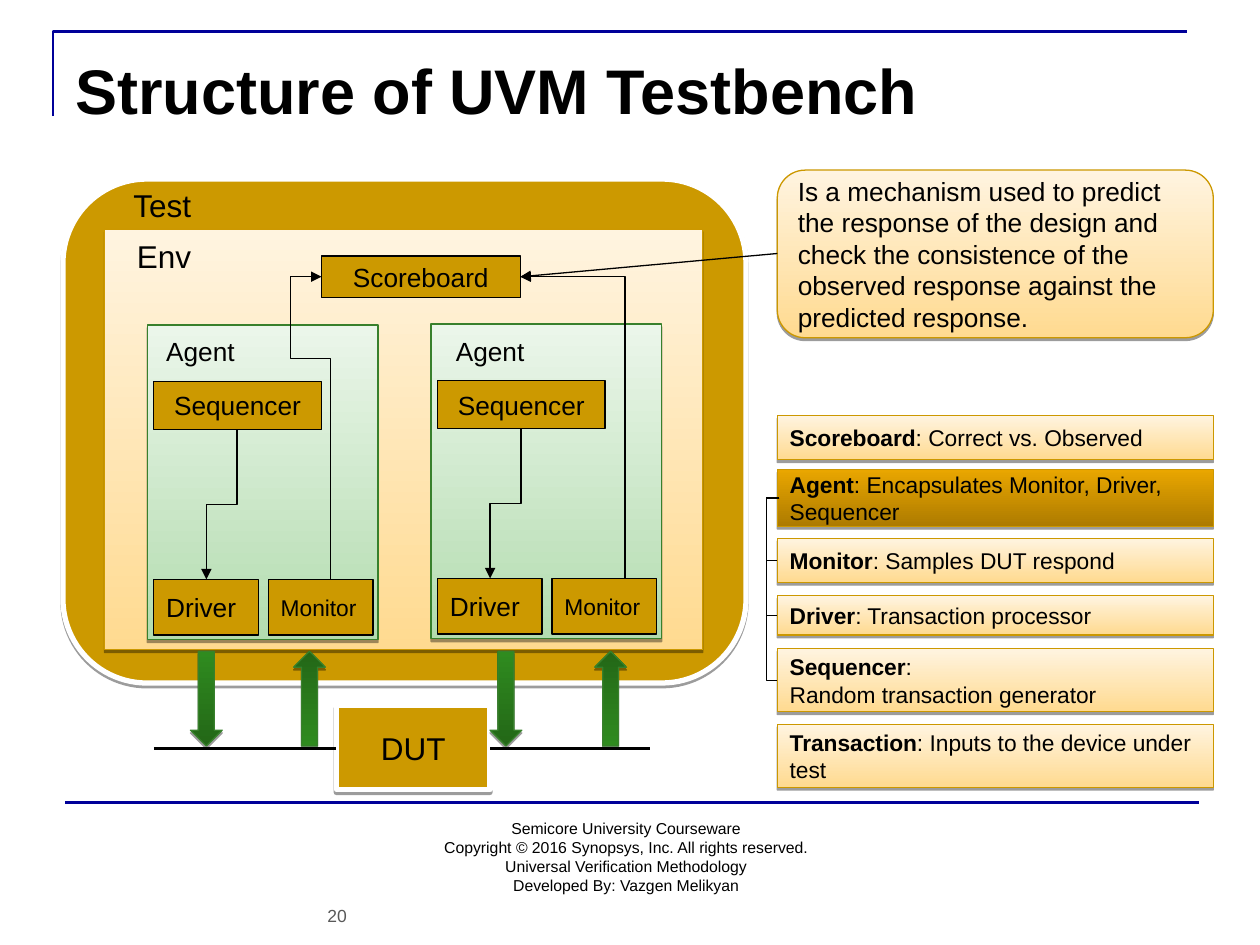
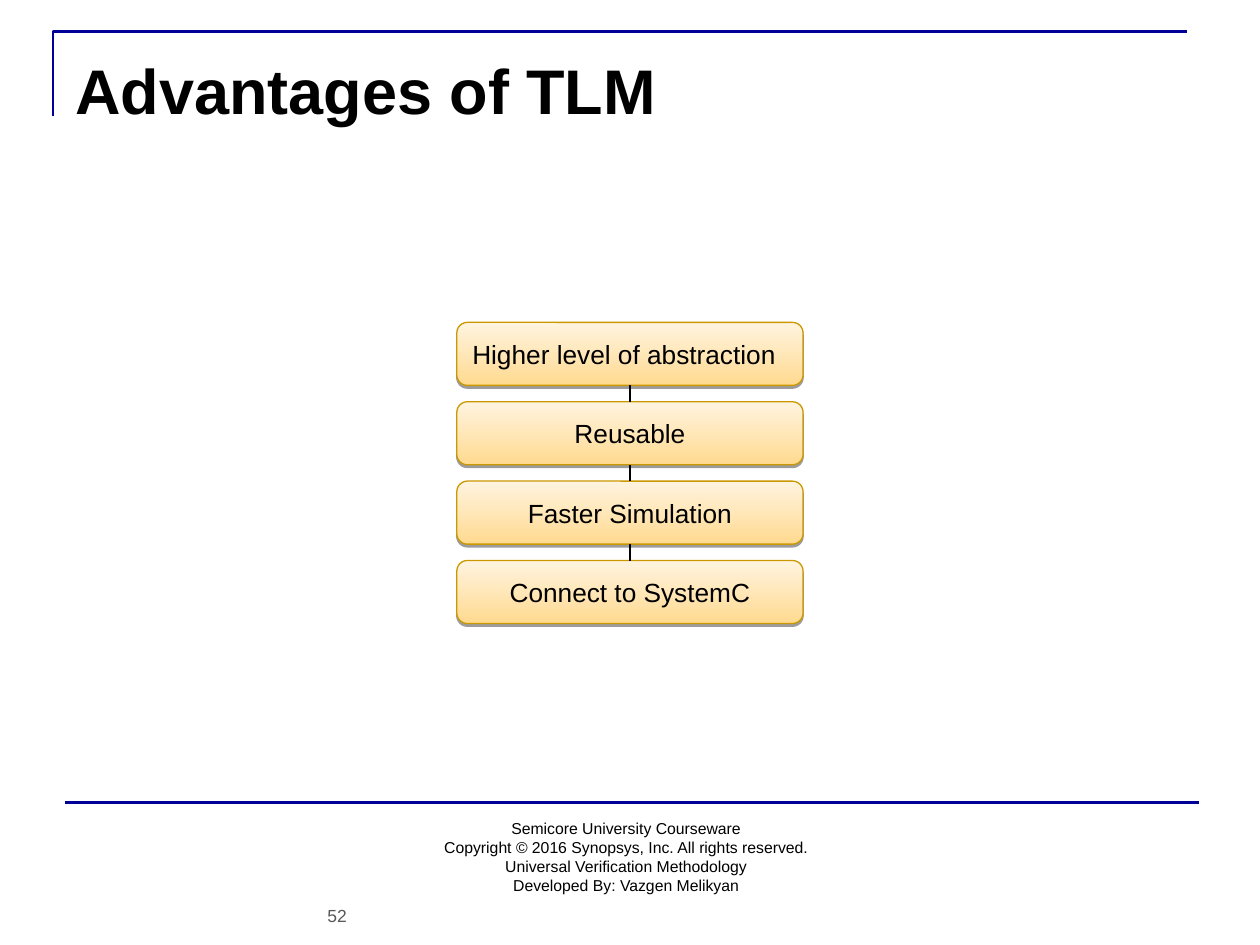
import lxml.etree
import pptx
import pptx.dml.color
import pptx.enum.shapes
import pptx.enum.text
import pptx.oxml.ns
import pptx.util

Cm = pptx.util.Cm
Pt = pptx.util.Pt
MSO = pptx.enum.shapes.MSO_SHAPE
ANCHOR = pptx.enum.text.MSO_ANCHOR
LEFT = pptx.enum.text.PP_ALIGN.LEFT
CENTER = pptx.enum.text.PP_ALIGN.CENTER
rgb = pptx.dml.color.RGBColor.from_string
qn = pptx.oxml.ns.qn

NAVY = "000099"
BLACK = "000000"
GREY = "595959"

PANEL = (("FFDA90", "FFF4E0"), "CC9800", 0.75, True)
ACTIVE = (("AD7B00", "E9A600"), "CC9800", 0.75, True)
FRAME = (("CC9900",), "FFFFFF", 3, True)
BLOCK = (("CC9900",), BLACK, 0.75, False)
AGENT = (("B3DCAF", "EBF6EA"), "38802C", 0.75, True)
ARROW_DOWN = (("236717", "2F8B1F"), "38802C", 0.75, True)
ARROW_UP = (("2F8B1F", "236717"), "38802C", 0.75, True)


def box(s, x, y, w, h, style=None, paras=(), size=15, align=LEFT,
        geom=MSO.RECTANGLE, color=BLACK):
    place = Cm(x), Cm(y), Cm(w), Cm(h)
    if style is None:
        sp = s.shapes.add_textbox(*place)
    else:
        fill, line, width, shadow = style
        sp = s.shapes.add_shape(geom, *place)
        sp.shadow.inherit = False
        if len(fill) == 1:
            sp.fill.solid()
            sp.fill.fore_color.rgb = rgb(fill[0])
        else:
            sp.fill.gradient()
            sp.fill.gradient_angle = 90
            for stop, tone in zip(sp.fill.gradient_stops, fill):
                stop.color.rgb = rgb(tone)
        sp.line.color.rgb = rgb(line)
        sp.line.width = Pt(width)
        if shadow:
            effects = sp._element.spPr.find(qn("a:effectLst"))
            shade = lxml.etree.SubElement(
                effects, qn("a:outerShdw"), blurRad="0", dist=str(Pt(1.6)),
                dir="5400000", rotWithShape="0")
            tint = lxml.etree.SubElement(shade, qn("a:srgbClr"), val=BLACK)
            lxml.etree.SubElement(tint, qn("a:alpha"), val="38000")
    tf = sp.text_frame
    tf.word_wrap = True
    tf.vertical_anchor = ANCHOR.MIDDLE if style else ANCHOR.TOP
    for i, (strong, plain) in enumerate(paras):
        p = tf.add_paragraph() if i else tf.paragraphs[0]
        p.alignment = align
        for text, bold in ((strong, True), (plain, False)):
            if text:
                r = p.add_run()
                r.text = text
                r.font.name = "Arial"
                r.font.size = Pt(size)
                r.font.bold = bold
                r.font.color.rgb = rgb(color)


def link(s, x1, y1, x2, y2, geom="line", rot=0, flip=False, adj=(),
         width=0.75, color=BLACK, arrow=False):
    if rot in (90, 270):
        mx, my = (x1 + x2) / 2, (y1 + y2) / 2
        w, h = abs(y2 - y1), abs(x2 - x1)
        x1, y1, x2, y2 = mx - w / 2, my - h / 2, mx + w / 2, my + h / 2
    elif rot == 180:
        x1, x2 = x2, x1
    c = s.shapes.add_connector(pptx.enum.shapes.MSO_CONNECTOR.STRAIGHT,
                               Cm(x1), Cm(y1), Cm(x2), Cm(y2))
    c.line.color.rgb = rgb(color)
    c.line.width = Pt(width)
    spPr = c._element.spPr
    lxml.etree.SubElement(spPr, qn("a:effectLst"))
    if arrow:
        lxml.etree.SubElement(spPr.find(qn("a:ln")), qn("a:tailEnd"), type="triangle")
    if geom != "line":
        xfrm = spPr.find(qn("a:xfrm"))
        xfrm.set("rot", str(rot * 60000))
        if flip:
            xfrm.set("flipV", "1")
        prst = spPr.find(qn("a:prstGeom"))
        prst.set("prst", geom)
        for i, value in enumerate(adj, 1):
            lxml.etree.SubElement(prst.find(qn("a:avLst")), qn("a:gd"),
                                  name=f"adj{i}", fmla=f"val {round(value * 100000)}")


prs = pptx.Presentation()
prs.slide_width = Cm(25.4)
prs.slide_height = Cm(19.05)

footer = [
    ("", "Semicore University Courseware"),
    ("", "Copyright © 2016 Synopsys, Inc. All rights reserved."),
    ("", "Universal Verification Methodology"),
    ("", "Developed By: Vazgen Melikyan"),
]
for title, number in (("Structure of UVM Testbench", "20"), ("Advantages of TLM", "52")):
    s = prs.slides.add_slide(prs.slide_layouts[6])
    fb = s.shapes.build_freeform(Cm(1.07), Cm(2.34))
    fb.add_line_segments([(Cm(1.07), Cm(0.64)), (Cm(23.93), Cm(0.64))], close=False)
    sp = fb.convert_to_shape()
    sp.shadow.inherit = False
    sp.fill.background()
    sp.line.color.rgb = rgb(NAVY)
    sp.line.width = Pt(1.5)
    link(s, 1.32, 16.18, 24.18, 16.18, width=1.5, color=NAVY)
    box(s, 6.27, 16.38, 12.7, 1.78, paras=footer, size=9, align=CENTER)
    box(s, 6.35, 18.11, 1.07, 0.69, paras=[("", number)], size=10, color=GREY)
    box(s, 1.27, 0.91, 22.86, 2, paras=[(title, "")], size=36)

testbench, advantages = prs.slides

s = testbench
box(s, 1.27, 3.61, 13.77, 10.16, FRAME, geom=MSO.ROUNDED_RECTANGLE)
box(s, 2.11, 4.62, 12.06, 8.48, PANEL)
box(s, 2.44, 3.63, 2.5, 1.02, paras=[("", "Test")], size=18)
box(s, 2.51, 4.65, 2.5, 1.02, paras=[("", "Env")], size=18)

for x, y, label_x in ((2.97, 6.55, 3.1), (8.69, 6.53, 8.94)):
    box(s, x, y, 4.65, 6.35, AGENT)
    box(s, label_x, 6.63, 2.5, 0.89, paras=[("", "Agent")])
    box(s, x + 0.13, y + 1.14, 3.38, 0.97, BLOCK, [("", "Sequencer")], align=CENTER)
    box(s, x + 0.13, y + 5.13, 2.11, 1.12, BLOCK, [("", "Driver")])
    box(s, x + 2.44, y + 5.13, 2.11, 1.12, BLOCK, [("", "Monitor")], 13)
    link(s, x + 1.81, y + 2.11, x + 1.19, y + 5.13, "bentConnector3", 90,
         adj=(0.5,), arrow=True)

box(s, 6.48, 5.16, 4.01, 0.84, BLOCK, [("", "Scoreboard")], align=CENTER)
link(s, 6.66, 11.68, 6.48, 5.58, "bentConnector4", 270, True, (0.73, 4.5), arrow=True)
link(s, 12.6, 11.66, 10.49, 5.58, "bentConnector2", 270, True, arrow=True)

box(s, 6.78, 14.22, 3.1, 1.7, FRAME, [("", "DUT")], 18, CENTER)
for x1, x2 in ((9.88, 13.11), (3.1, 6.78)):
    link(s, x1, 15.09, x2, 15.09, width=2)
for down_x, up_x in ((3.84, 5.92), (9.88, 11.99)):
    box(s, down_x, 13.13, 0.64, 1.91, ARROW_DOWN, geom=MSO.DOWN_ARROW)
    box(s, up_x, 13.13, 0.64, 1.91, ARROW_UP, geom=MSO.UP_ARROW)

definitions = [
    (8.38, 0.89, PANEL, [("Scoreboard", ": Correct vs. Observed")]),
    (9.47, 1.14, ACTIVE, [("Agent", ": Encapsulates Monitor, Driver, Sequencer")]),
    (10.85, 0.89, PANEL, [("Monitor", ": Samples DUT respond")]),
    (12.01, 0.79, PANEL, [("Driver", ": Transaction processor")]),
    (13.08, 1.27, PANEL, [("Sequencer", ":"), ("", "Random transaction generator")]),
    (14.6, 1.27, PANEL, [("Transaction", ": Inputs to the device under test")]),
]
for y, h, style, paras in definitions:
    box(s, 15.67, y, 8.79, h, style, paras, 13)
for y, h, style, paras in definitions[2:5]:
    link(s, 15.71, 10.04, 15.67, y + h / 2, "bentConnector3", 180, True, (6.5,))

box(s, 15.67, 3.43, 8.79, 3.38, PANEL,
    [("", "Is a mechanism used to predict the response of the design and check the "
          "consistence of the observed response against the predicted response.")],
    geom=MSO.ROUNDED_RECTANGLE)
link(s, 15.67, 5.11, 10.49, 5.58, arrow=True)

s = advantages
benefits = [
    ("Higher level of abstraction", LEFT),
    ("Reusable", CENTER),
    ("Faster Simulation", CENTER),
    ("Connect to SystemC", CENTER),
]
for i, (benefit, align) in enumerate(benefits):
    y = 6.5 + 1.6 * i
    box(s, 9.21, y, 6.98, 1.27, PANEL, [("", benefit)], align=align,
        geom=MSO.ROUNDED_RECTANGLE)
    if i:
        link(s, 12.7, y - 0.33, 12.7, y)

prs.save("out.pptx")
